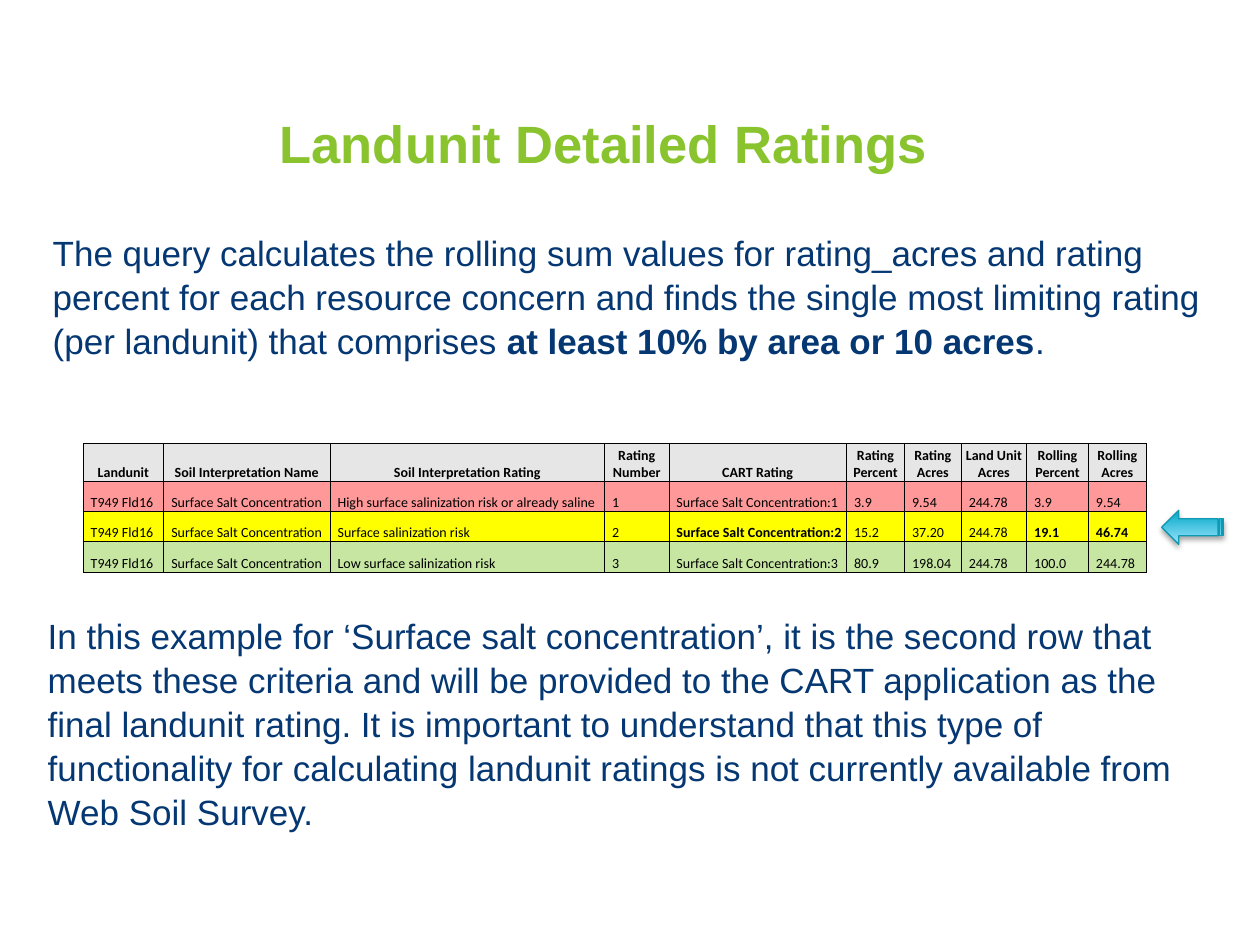
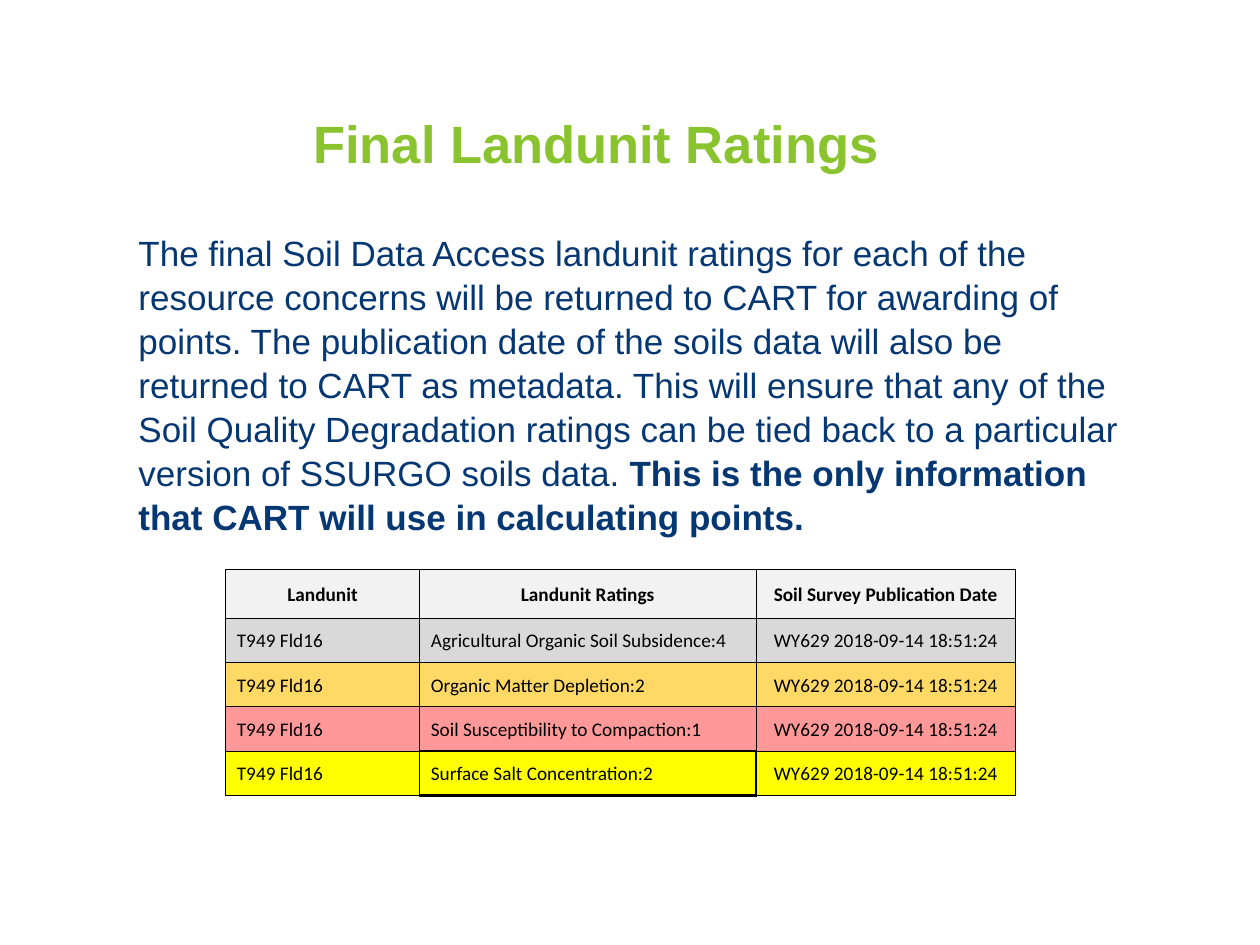
from dataclasses import dataclass
from lxml.etree import SubElement
from pptx import Presentation
from pptx.dml.color import RGBColor
from pptx.enum.shapes import MSO_SHAPE
from pptx.enum.text import MSO_ANCHOR, PP_ALIGN
from pptx.oxml.ns import qn
from pptx.util import Inches, Pt


@dataclass(frozen=True)
class Theme:
    title: str = "89C32D"
    body: str = "053773"
    ink: str = "000000"
    red: str = "FF9999"
    yellow: str = "FFFF00"
    green: str = "C6E6A2"
    gold: str = "FFD966"
    grey: str = "D9D9D9"
    arrow_dark: str = "00A7C5"
    arrow_light: str = "9BE4FF"
    arrow_line: str = "0F99B2"
    font: str = "Arial"
    table_font: str = "Calibri"
    title_size: int = 30
    body_size: int = 20
    line_spacing: float = 1.05
    thin: float = 0.5
    thick: float = 1


T = Theme()
UNIT = "T949 Fld16"
SALT = "Surface Salt Concentration"
DATE = "WY629 2018-09-14 18:51:24"

DETAILED = dict(
    title="Landunit Detailed Ratings",
    texts=[
        ((0.28, 4.81, 9.47, 1.78), [
            ("In this example for ‘Surface salt concentration’, it is the second row that "
             "meets these criteria and will be provided to the CART application as the final "
             "landunit rating. It is important to understand that this type of functionality "
             "for calculating landunit ratings is not currently available from Web Soil "
             "Survey.", False)]),
        ((0.32, 1.77, 9.47, 1.45), [
            ("The query calculates the rolling sum values for rating_acres and rating percent "
             "for each resource concern and finds the single most limiting rating (per "
             "landunit) that comprises ", False),
            ("at least 10% by area or 10 acres", True),
            (".", False)]),
    ],
    table=dict(
        at=(0.66, 3.52),
        cols=[0.64, 1.32, 2.18, 0.51, 1.41, 0.46, 0.45, 0.52, 0.49, 0.46],
        heights=(0.3, 0.24),
        size=8, anchor=MSO_ANCHOR.BOTTOM, indent=0.06,
        rows=[
            ["Landunit", "Soil Interpretation Name", "Soil Interpretation Rating",
             "Rating Number", "CART Rating", "Rating Percent", "Rating Acres",
             "Land Unit Acres", "Rolling Percent", "Rolling Acres"],
            [UNIT, SALT, "High surface salinization risk or already saline", "1",
             SALT + ":1", "3.9", "9.54", "244.78", "3.9", "9.54"],
            [UNIT, SALT, "Surface salinization risk", "2",
             SALT + ":2", "15.2", "37.20", "244.78", "19.1", "46.74"],
            [UNIT, SALT, "Low surface salinization risk", "3",
             SALT + ":3", "80.9", "198.04", "244.78", "100.0", "244.78"],
        ],
        fills=["E7E6E6", T.red, T.yellow, T.green],
        bold={(2, 4), (2, 8), (2, 9)}, centered=set(),
        edges={(2, 8): dict(L=1, T=1, B=1), (2, 9): dict(T=1, R=1, B=1)},
    ),
)

FINAL = dict(
    title="Final Landunit Ratings ",
    texts=[
        ((1, 1.77, 8.02, 2.46), [
            ("The final Soil Data Access landunit ratings for each of the resource concerns "
             "will be returned to CART for awarding of points. The publication date of the "
             "soils data will also be returned to CART as metadata. This will ensure that any "
             "of the Soil Quality Degradation ratings can be tied back to a particular version "
             "of SSURGO soils data. ", False),
            ("This is the only information that CART will use in calculating points.", True)]),
    ],
    table=dict(
        at=(1.79, 4.52),
        cols=[1.54, 2.67, 2.06],
        heights=(0.39, 0.35),
        size=11, anchor=MSO_ANCHOR.MIDDLE, indent=0.09,
        rows=[
            ["Landunit", "Landunit Ratings", "Soil Survey Publication Date"],
            [UNIT, "Agricultural Organic Soil Subsidence:4", DATE],
            [UNIT, "Organic Matter Depletion:2", DATE],
            [UNIT, "Soil Susceptibility to Compaction:1", DATE],
            [UNIT, SALT + ":2", DATE],
        ],
        fills=["F2F2F2", T.grey, T.gold, T.red, T.yellow],
        bold=set(), centered={2},
        edges={(4, 1): dict(L=1, T=1, R=1, B=2)},
    ),
)

NEIGHBOURS = dict(L=(0, -1, "R"), R=(0, 1, "L"), T=(-1, 0, "B"), B=(1, 0, "T"))


def style(font, name, size, color, bold=False):
    font.name, font.size, font.bold = name, Pt(size), bold
    font.color.rgb = RGBColor.from_string(color)


def add_text(s, at, runs, size, color, bold=False, align=PP_ALIGN.LEFT):
    tf = s.shapes.add_textbox(*map(Inches, at)).text_frame
    tf.word_wrap = True
    p = tf.paragraphs[0]
    p.alignment, p.line_spacing = align, T.line_spacing
    style(p.font, T.font, size, color, bold)
    for text, strong in runs:
        r = p.add_run()
        r.text = text
        if strong:
            r.font.bold = True


def edge_widths(data):
    edges = {(0, c): dict(B=T.thick) for c in range(len(data["cols"]))}
    edges.update(data["edges"])
    widths = {}
    for (row, col), sides in edges.items():
        for side, width in sides.items():
            dr, dc, opposite = NEIGHBOURS[side]
            widths[row, col, side] = width
            widths[row + dr, col + dc, opposite] = width
    return widths


def add_border(cell, side, width):
    ln = SubElement(cell._tc.get_or_add_tcPr(), qn("a:ln" + side), w=str(Pt(width)))
    SubElement(SubElement(ln, qn("a:solidFill")), qn("a:srgbClr"), val=T.ink)


def add_grid(s, data):
    rows, cols = data["rows"], data["cols"]
    head, line = data["heights"]
    heights = [head] + [line] * (len(rows) - 1)
    size = sum(cols), sum(heights)
    table = s.shapes.add_table(len(rows), len(cols),
                               *map(Inches, data["at"] + size)).table
    table.first_row = table.horz_banding = False
    for column, width in zip(table.columns, cols):
        column.width = Inches(width)
    for row, height in zip(table.rows, heights):
        row.height = Inches(height)
    widths = edge_widths(data)
    for i, values in enumerate(rows):
        for j, value in enumerate(values):
            cell = table.cell(i, j)
            centered = i == 0 or j in data["centered"]
            cell.vertical_anchor = data["anchor"]
            cell.margin_left = Inches(0.01 if centered else data["indent"])
            cell.margin_top = cell.margin_right = Inches(0.01)
            cell.margin_bottom = 0
            for side in "LRTB":
                add_border(cell, side, widths.get((i, j, side), T.thin))
            cell.fill.solid()
            cell.fill.fore_color.rgb = RGBColor.from_string(data["fills"][i])
            p = cell.text_frame.paragraphs[0]
            p.text = value
            p.alignment = PP_ALIGN.CENTER if centered else PP_ALIGN.LEFT
            style(p.font, T.table_font, data["size"], T.ink,
                  i == 0 or (i, j) in data["bold"])


def add_row_arrow(s):
    sp = s.shapes.add_shape(MSO_SHAPE.STRIPED_RIGHT_ARROW,
                            *map(Inches, (9.22, 4.05, 0.49, 0.27)))
    sp.rotation = 180
    sp.fill.gradient()
    sp.fill.gradient_angle = 90
    for stop, color, position in zip(sp.fill.gradient_stops,
                                     (T.arrow_dark, T.arrow_light), (0, 1)):
        stop.color.rgb = RGBColor.from_string(color)
        stop.position = position
    sp.line.color.rgb = RGBColor.from_string(T.arrow_line)
    sp.line.width = Pt(0.75)
    sp.shadow.inherit = False
    effects = sp._element.spPr.find(qn("a:effectLst"))
    shadow = SubElement(effects, qn("a:outerShdw"), blurRad=str(Pt(3.1)),
                        dist=str(Pt(1.8)), dir="5400000", rotWithShape="0")
    color = SubElement(shadow, qn("a:srgbClr"), val=T.ink)
    SubElement(color, qn("a:alpha"), val="35000")


def add_ratings_slide(prs, content):
    s = prs.slides.add_slide(prs.slide_layouts[6])
    for at, runs in content["texts"]:
        add_text(s, at, runs, T.body_size, T.body)
    add_text(s, (0.29, 0.81, 9, 0.73), [(content["title"], False)],
             T.title_size, T.title, True, PP_ALIGN.CENTER)
    add_grid(s, content["table"])
    return s


def main():
    prs = Presentation()
    prs.slide_width, prs.slide_height = Inches(10), Inches(7.5)
    add_row_arrow(add_ratings_slide(prs, DETAILED))
    add_ratings_slide(prs, FINAL)
    prs.save("out.pptx")


if __name__ == "__main__":
    main()
